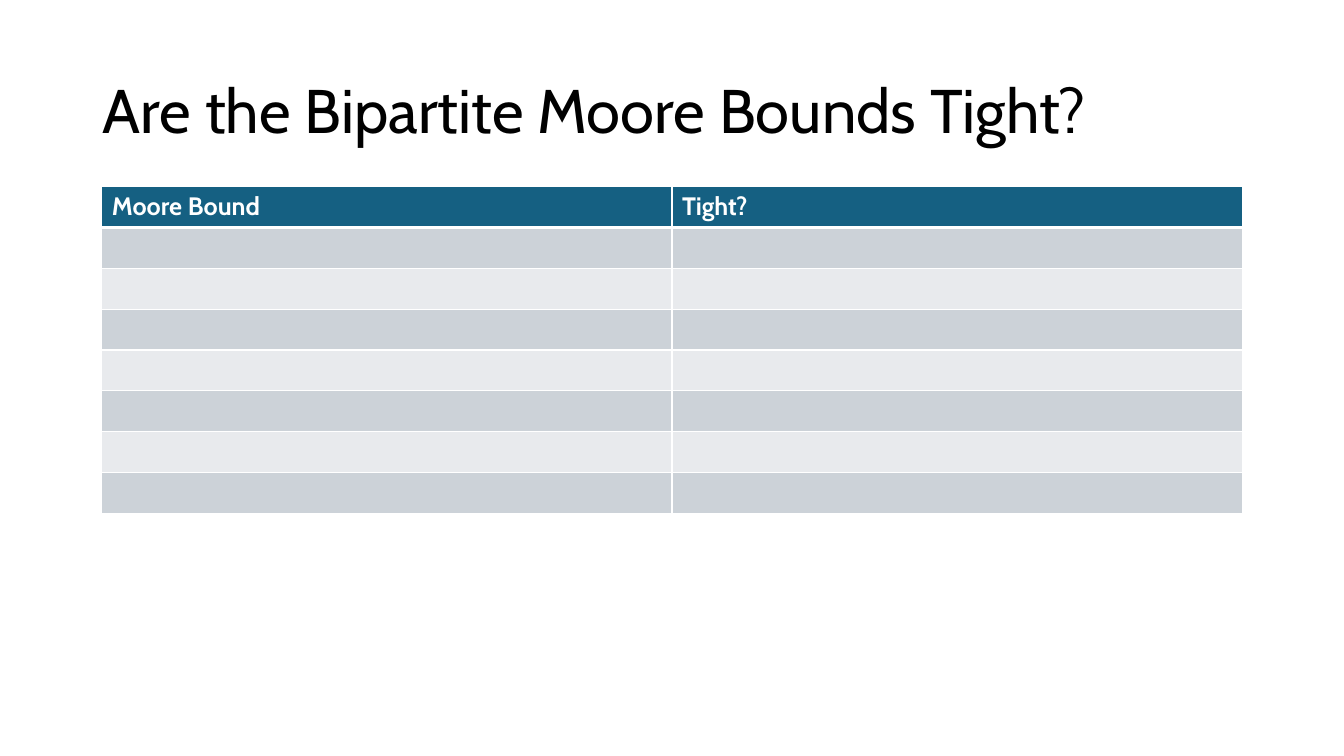
from dataclasses import dataclass

from lxml import etree
from pptx import Presentation
from pptx.dml.color import RGBColor
from pptx.enum.text import MSO_ANCHOR, PP_ALIGN
from pptx.oxml.ns import qn
from pptx.util import Inches, Pt

MIDDLE = MSO_ANCHOR.MIDDLE
LEFT = PP_ALIGN.LEFT
FONT = "Cabin"
WHITE = "FFFFFF"
HEAD = "156082"
BANDS = ("CCD2D8", "E8EAED")
ROWS = 8


@dataclass
class Column:
    label: str
    width: float


COLUMNS = [Column("Moore Bound", 5.655), Column("Tight?", 5.655)]


def color(code: str) -> RGBColor:
    return RGBColor.from_string(code)


def add_run(para, text: str, size: float, code: str, bold: bool = False) -> None:
    run = para.add_run()
    run.text = text
    font = run.font
    font.name, font.size, font.bold = FONT, Pt(size), bold
    font.color.rgb = color(code)


def add_edge(cell, side: str, width: float) -> None:
    """Rule one side (L, R, T or B) of a cell in white."""
    props = cell._tc.get_or_add_tcPr()
    line = etree.SubElement(props, qn(f"a:ln{side}"), w=str(Pt(width)))
    fill = etree.SubElement(line, qn("a:solidFill"))
    etree.SubElement(fill, qn("a:srgbClr"), val=WHITE)


def style_cell(cell, row: int) -> None:
    top = 3 if row == 1 else 1
    bottom = 3 if row == 0 else 1
    for side, width in (("L", 1), ("R", 1), ("T", top), ("B", bottom)):
        add_edge(cell, side, width)
    cell.fill.solid()
    shade = BANDS[(row - 1) % 2] if row else HEAD
    cell.fill.fore_color.rgb = color(shade)


def add_title(slide, text: str) -> None:
    title = slide.shapes.title
    title.left, title.top = Inches(0.92), Inches(0.4)
    title.width, title.height = Inches(11.5), Inches(1.45)
    frame = title.text_frame
    frame.word_wrap = True
    frame.vertical_anchor = MIDDLE
    para = frame.paragraphs[0]
    para.alignment = LEFT
    para.line_spacing = 0.9
    add_run(para, text, 44, "000000")


def add_bounds(slide) -> None:
    width = sum(col.width for col in COLUMNS)
    table = slide.shapes.add_table(
        ROWS, len(COLUMNS), Inches(1.01), Inches(1.85), Inches(width), Inches(3.24)
    ).table
    for i, col in enumerate(COLUMNS):
        table.columns[i].width = Inches(col.width)
        add_run(table.cell(0, i).text_frame.paragraphs[0], col.label, 18, WHITE, True)
        for row in range(ROWS):
            style_cell(table.cell(row, i), row)


def main() -> None:
    deck = Presentation()
    deck.slide_width, deck.slide_height = Inches(13.33), Inches(7.5)
    slide = deck.slides.add_slide(deck.slide_layouts[5])
    add_title(slide, "Are the Bipartite Moore Bounds Tight?")
    add_bounds(slide)
    deck.save("out.pptx")


if __name__ == "__main__":
    main()
